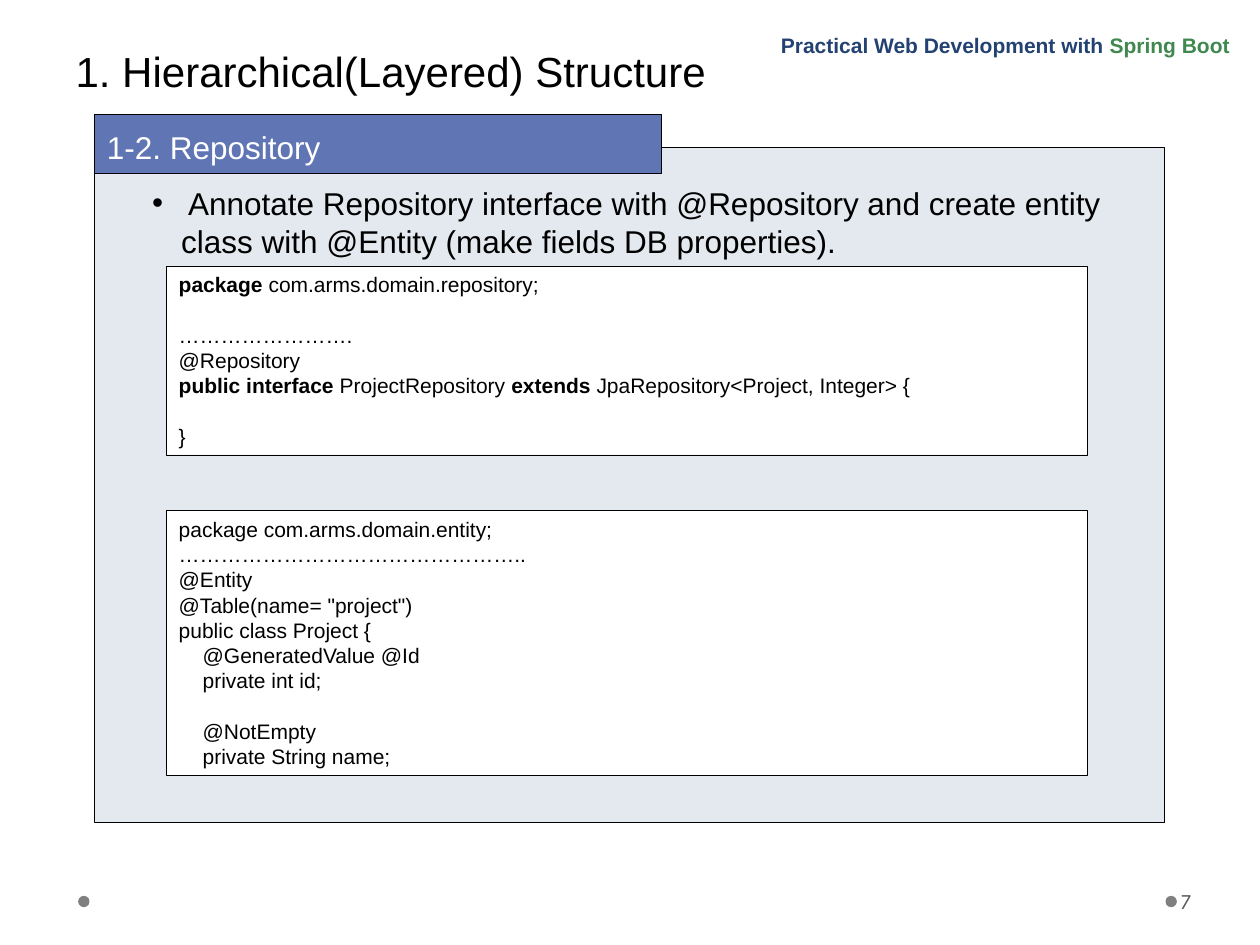
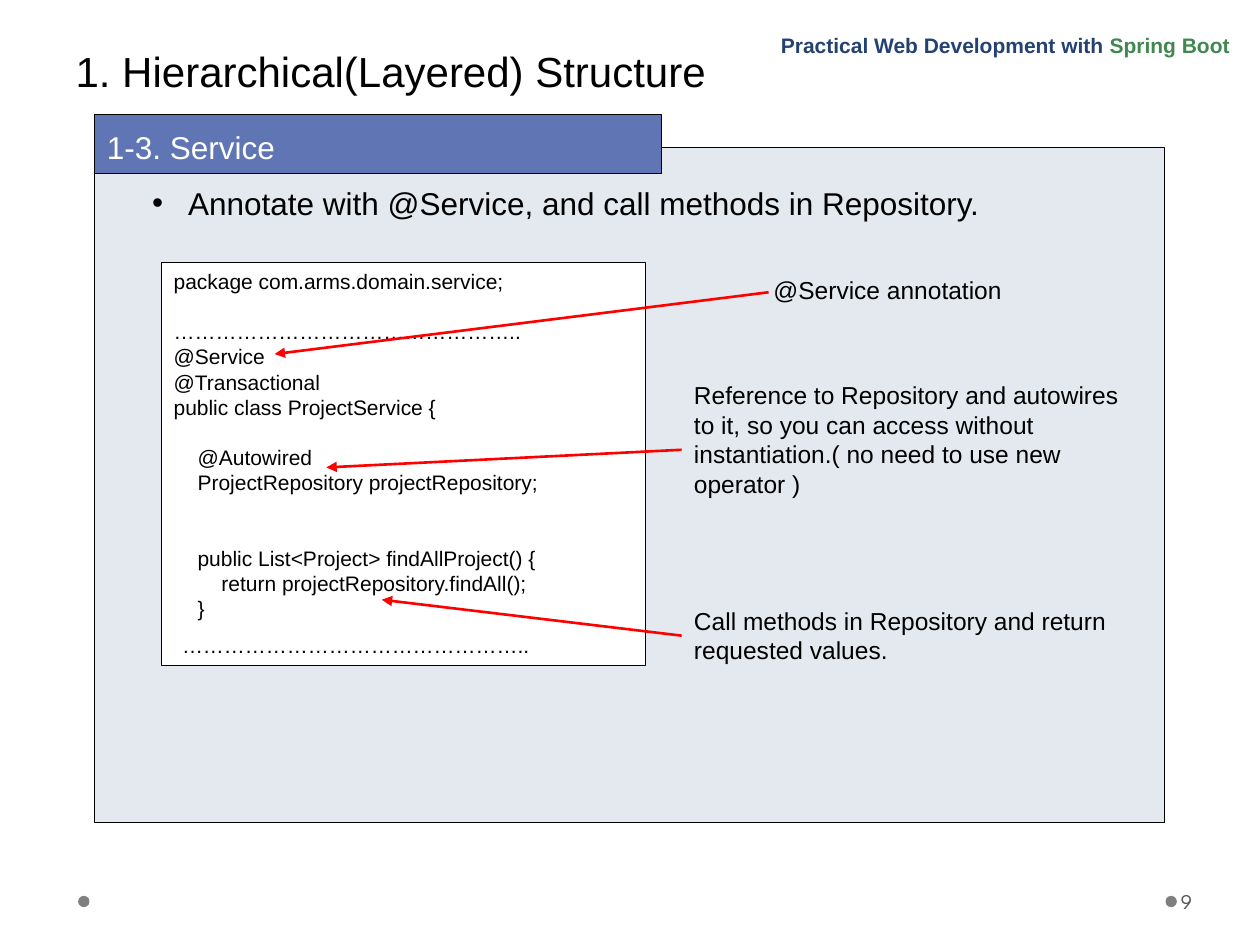
"""Build two slides on the repository and service layers of a web application."""
from dataclasses import dataclass
from typing import NamedTuple, Optional

from lxml import etree
from pptx import Presentation
from pptx.dml.color import RGBColor
from pptx.enum.shapes import MSO_CONNECTOR, MSO_SHAPE
from pptx.enum.text import MSO_ANCHOR, PP_ALIGN
from pptx.oxml.ns import qn
from pptx.util import Inches, Pt

RECT, OVAL = MSO_SHAPE.RECTANGLE, MSO_SHAPE.OVAL
STRAIGHT = MSO_CONNECTOR.STRAIGHT
TOP, MIDDLE, BOTTOM = MSO_ANCHOR.TOP, MSO_ANCHOR.MIDDLE, MSO_ANCHOR.BOTTOM
LEFT, CENTER = PP_ALIGN.LEFT, PP_ALIGN.CENTER
TITLE_ONLY = 5
LEFT_SIDE = 1


@dataclass(frozen=True)
class Theme:
    black: str = "000000"
    white: str = "FFFFFF"
    panel: str = "E4E9EF"
    band: str = "6076B4"
    navy: str = "234271"
    green: str = "40884F"
    dot: str = "7F7F7F"
    page: str = "595959"
    arrow: str = "FF0000"
    font: str = "Arial"
    page_font: str = "League Spartan"
    title_size: int = 24
    body_size: int = 18
    note_size: int = 14
    small_size: int = 12
    leading: float = 1.2
    code_indent: float = 0.19


THEME = Theme()


class Box(NamedTuple):
    left: float
    top: float
    width: float
    height: float


class Line(NamedTuple):
    """A code line whose bold words stand between asterisks."""
    text: str
    level: float = 0
    gap: float = 0


class Code(NamedTuple):
    box: Box
    lines: list[Line]


class Arrow(NamedTuple):
    x1: float
    y1: float
    x2: float
    y2: float
    joined: bool = False


class Note(NamedTuple):
    box: Box
    text: str
    arrow: Arrow
    wrap: bool = True
    align: PP_ALIGN = LEFT


@dataclass(frozen=True)
class Topic:
    heading: str
    bullet: str
    bullet_height: float
    page: str
    codes: list[Code]
    notes: list[Note]


TITLE = "1. Hierarchical(Layered) Structure"
TITLE_BOX = Box(0.5, 0, 5.6, 1.61)
PANEL_BOX = Box(0.75, 1.17, 8.49, 5.36)
BAND_BOX = Box(0.75, 0.91, 4.5, 0.47)
COURSE_BOX = Box(6.1, 0.23, 3.9, 0.28)
PAGE_BOX = Box(9.34, 6.95, 0.61, 0.4)
DOTS = [Box(x, 7.11, 0.09, 0.09) for x in (9.25, 0.62)]

REPOSITORY = Topic(
    "1-2. Repository",
    " Annotate Repository interface with @Repository and create entity class "
    "with @Entity (make fields DB properties).",
    0.7, "7",
    [
        Code(Box(1.32, 2.11, 7.31, 1.5), [
            Line("*package* com.arms.domain.repository;"),
            Line("…………………….", gap=1),
            Line("@Repository"),
            Line("*public interface* ProjectRepository *extends* "
                 "JpaRepository<Project, Integer> {"),
            Line("}", gap=1),
        ]),
        Code(Box(1.32, 4.05, 7.31, 2.1), [
            Line("package com.arms.domain.entity;"),
            Line("………………………………………….."),
            Line("@Entity"),
            Line('@Table(name= "project")'),
            Line("public class Project {"),
            Line("@GeneratedValue @Id", 1),
            Line("private int id;", 1),
            Line("@NotEmpty", 1, 1),
            Line("private String name;", 1),
        ]),
    ],
    [],
)

SERVICE = Topic(
    "1-3. Service",
    " Annotate with @Service, and call methods in Repository.",
    0.4, "9",
    [
        Code(Box(1.28, 2.08, 3.84, 3.2), [
            Line("package com.arms.domain.service;"),
            Line("…………………………………………..", gap=1),
            Line("@Service"),
            Line("@Transactional"),
            Line("public class ProjectService {"),
            Line("@Autowired", 1, 1),
            Line("ProjectRepository projectRepository;", 1),
            Line("public List<Project> findAllProject() {", 1, 2),
            Line("return projectRepository.findAll();", 2),
            Line("}", 1),
            Line("…………………………………………..", 0.35, 0.45),
        ]),
    ],
    [
        Note(Box(6.04, 2.13, 2.01, 0.34), "@Service annotation",
             Arrow(6.1, 2.32, 2.18, 2.81), False, CENTER),
        Note(Box(5.41, 2.97, 3.63, 1.04),
             "Reference to Repository and autowires to it, so you can access "
             "without instantiation.( no need to use new operator )",
             Arrow(5.41, 3.57, 2.59, 3.71)),
        Note(Box(5.41, 4.76, 3.63, 0.57),
             "Call methods in Repository and return requested values.",
             Arrow(5.41, 5.06, 3.03, 4.76, joined=True)),
    ],
)


def place(box: Box) -> list[int]:
    return [Inches(v) for v in box]


def style(r, size: float, color: str, bold: bool = False, font: str = THEME.font) -> None:
    r.font.name, r.font.size, r.font.bold = font, Pt(size), bold
    r.font.color.rgb = RGBColor.from_string(color)


def frame(sp, anchor: MSO_ANCHOR = TOP, wrap: bool = True):
    tf = sp.text_frame
    tf.word_wrap, tf.vertical_anchor = wrap, anchor
    tf.margin_left = tf.margin_right = Inches(0.1)
    tf.margin_top = tf.margin_bottom = Inches(0.05)
    return tf


def write(tf, text: str, size: float, color: str, align: PP_ALIGN = LEFT,
          font: str = THEME.font):
    p = tf.paragraphs[0]
    p.text, p.alignment = text, align
    style(p.runs[0], size, color, font=font)
    return p


def add_shape(slide, kind: MSO_SHAPE, box: Box, fill: str, line: Optional[float] = None):
    sp = slide.shapes.add_shape(kind, *place(box))
    sp.shadow.inherit = False
    sp.fill.solid()
    sp.fill.fore_color.rgb = RGBColor.from_string(fill)
    if line is None:
        sp.line.fill.background()
    else:
        sp.line.color.rgb = RGBColor.from_string(THEME.black)
        sp.line.width = Pt(line)
    return sp


def add_text(slide, box: Box, anchor: MSO_ANCHOR = TOP, wrap: bool = True):
    sp = slide.shapes.add_textbox(*place(box))
    frame(sp, anchor, wrap)
    return sp


def add_title(slide) -> None:
    sp = slide.shapes.title
    sp.left, sp.top, sp.width, sp.height = place(TITLE_BOX)
    tf = frame(sp, BOTTOM)
    tf.margin_bottom = Inches(0.85)
    write(tf, TITLE, THEME.title_size, THEME.black)


def add_course(slide) -> None:
    p = add_text(slide, COURSE_BOX, BOTTOM).text_frame.paragraphs[0]
    for text, color in (("Practical Web Development with ", THEME.navy),
                        ("Spring Boot", THEME.green)):
        r = p.add_run()
        r.text = text
        style(r, THEME.small_size, color, True)


def add_bullet(slide, text: str, height: float) -> None:
    tf = add_text(slide, Box(1.11, 1.41, 7.74, height)).text_frame
    p = write(tf, text, THEME.body_size, THEME.black)
    p.line_spacing = Pt(THEME.body_size * THEME.leading)
    pPr = p._p.get_or_add_pPr()
    pPr.set("marL", str(Inches(0.23)))
    pPr.set("indent", str(-Inches(0.23)))
    etree.SubElement(pPr, qn("a:buFont")).set("typeface", THEME.font)
    etree.SubElement(pPr, qn("a:buChar")).set("char", "•")


def add_code(slide, code: Code) -> None:
    tf = frame(add_shape(slide, RECT, code.box, THEME.white, 0.25))
    pitch = THEME.small_size * THEME.leading
    for i, line in enumerate(code.lines):
        p = tf.add_paragraph() if i else tf.paragraphs[0]
        p.alignment, p.line_spacing = LEFT, Pt(pitch)
        p.space_before = Pt(pitch * line.gap)
        indent = Inches(THEME.code_indent * line.level)
        p._p.get_or_add_pPr().set("marL", str(indent))
        for j, text in enumerate(line.text.split("*")):
            if text:
                r = p.add_run()
                r.text = text
                style(r, THEME.small_size, THEME.black, j % 2 == 1)


def add_arrow(slide, arrow: Arrow, label) -> None:
    ends = [Inches(v) for v in arrow[:4]]
    cx = slide.shapes.add_connector(STRAIGHT, *ends)
    if arrow.joined:
        cx.begin_connect(label, LEFT_SIDE)
    cx.line.color.rgb = RGBColor.from_string(THEME.arrow)
    cx.line.width = Pt(1.5)
    etree.SubElement(cx.line._get_or_add_ln(), qn("a:tailEnd")).set("type", "triangle")
    etree.SubElement(cx._element.spPr, qn("a:effectLst"))


def add_note(slide, note: Note) -> None:
    sp = add_text(slide, note.box, wrap=note.wrap)
    p = write(sp.text_frame, note.text, THEME.note_size, THEME.black, note.align)
    p.line_spacing = Pt(THEME.note_size * THEME.leading)
    add_arrow(slide, note.arrow, sp)


def add_page(slide, page: str) -> None:
    tf = add_text(slide, PAGE_BOX, MIDDLE).text_frame
    tf.margin_left, tf.margin_right = Inches(0.03), Inches(0.05)
    write(tf, page, THEME.small_size, THEME.page, font=THEME.page_font)


def add_topic(prs, topic: Topic) -> None:
    slide = prs.slides.add_slide(prs.slide_layouts[TITLE_ONLY])
    for dot in DOTS:
        add_shape(slide, OVAL, dot, THEME.dot)
    add_shape(slide, RECT, PANEL_BOX, THEME.panel, 0.75)
    add_title(slide)
    tf = frame(add_shape(slide, RECT, BAND_BOX, THEME.band, 0.75), MIDDLE)
    tf.margin_top = Inches(0.09)
    write(tf, topic.heading, THEME.body_size, THEME.white)
    add_course(slide)
    add_bullet(slide, topic.bullet, topic.bullet_height)
    for code in topic.codes:
        add_code(slide, code)
    for note in topic.notes:
        add_note(slide, note)
    add_page(slide, topic.page)


def main() -> None:
    prs = Presentation()
    prs.slide_width, prs.slide_height = Inches(10), Inches(7.5)
    for topic in (REPOSITORY, SERVICE):
        add_topic(prs, topic)
    prs.save("out.pptx")


if __name__ == "__main__":
    main()
